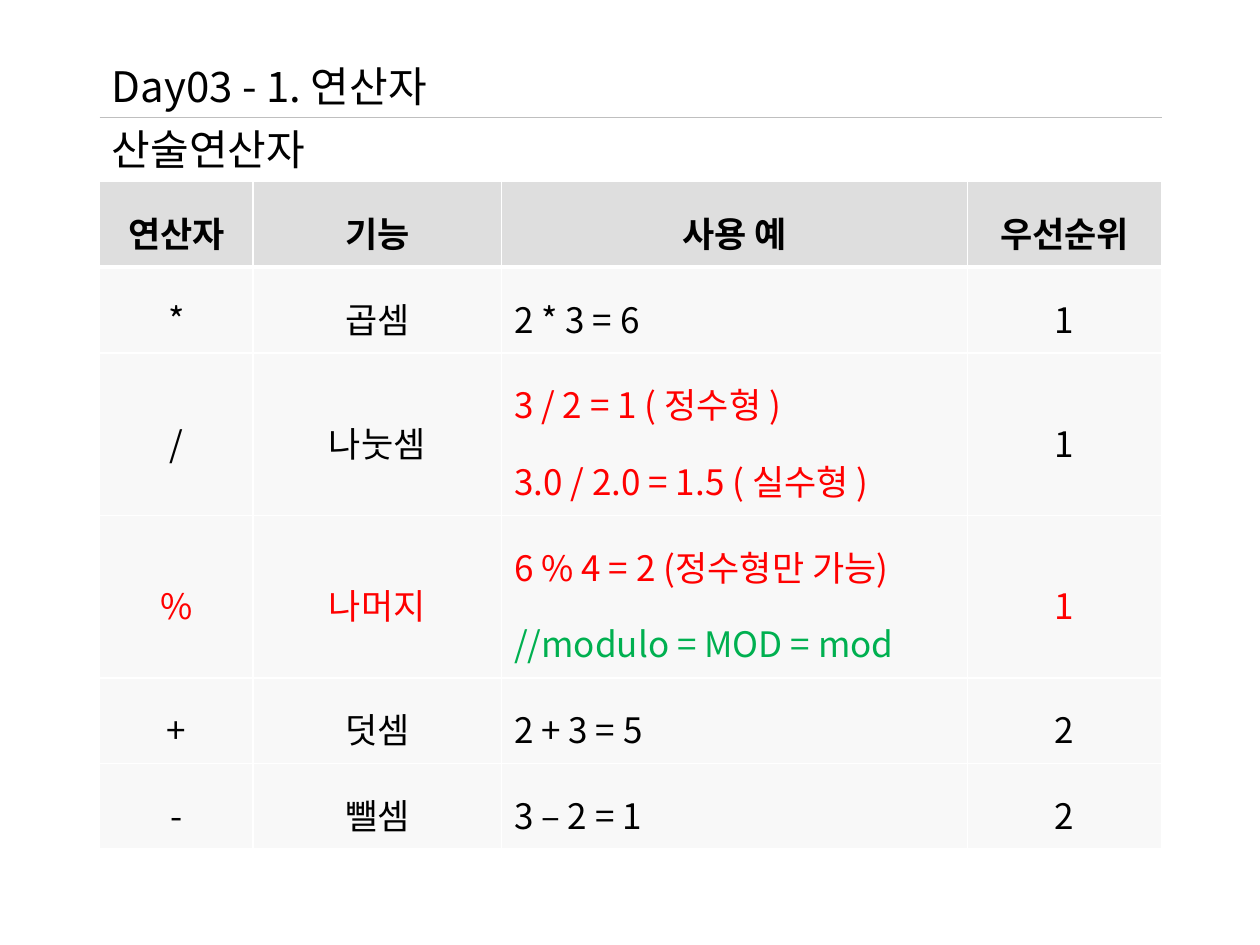
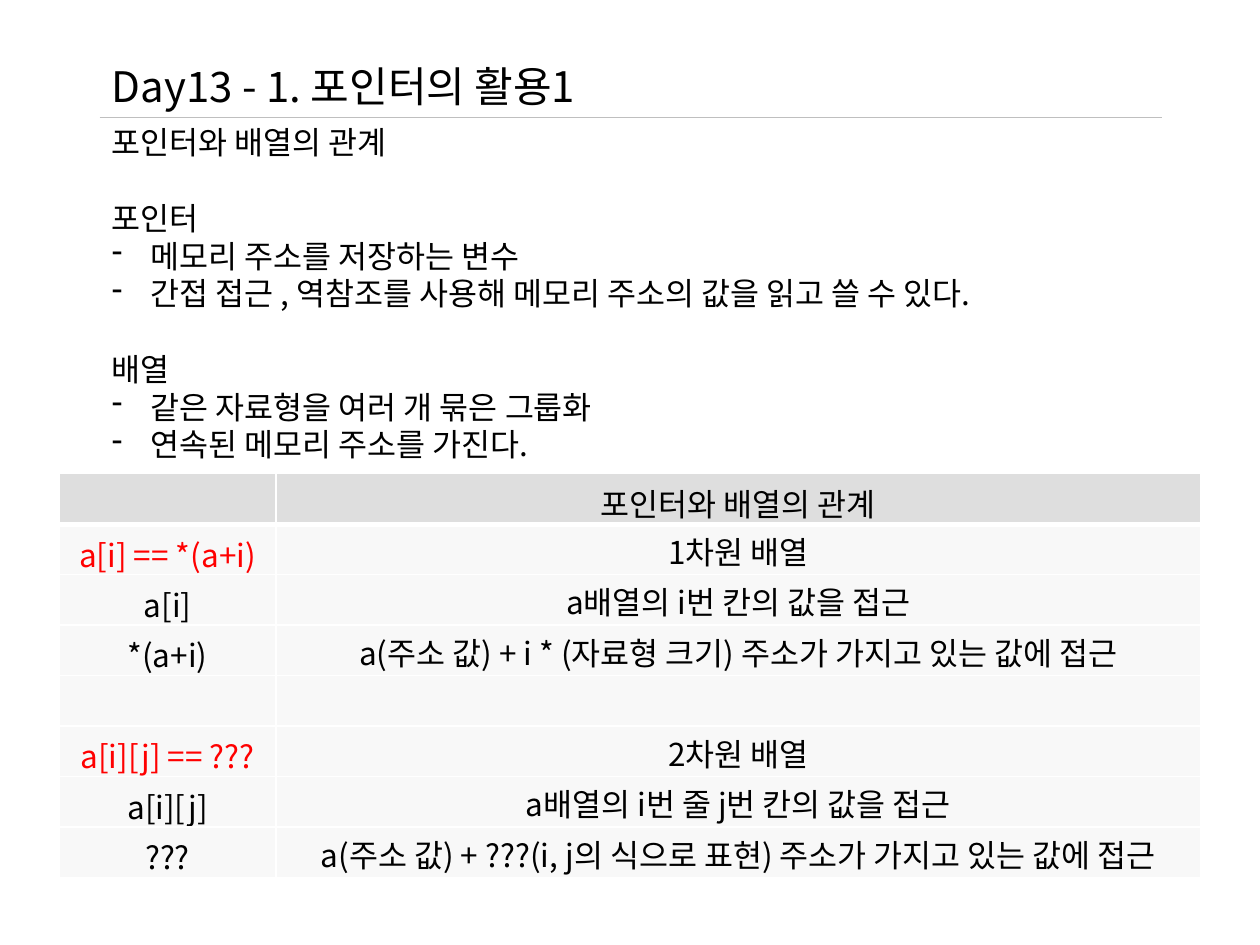
from dataclasses import dataclass

from lxml.etree import SubElement
from pptx import Presentation
from pptx.dml.color import RGBColor
from pptx.enum.shapes import MSO_CONNECTOR
from pptx.enum.text import MSO_ANCHOR, MSO_AUTO_SIZE, PP_ALIGN
from pptx.oxml.ns import qn
from pptx.util import Inches, Pt


@dataclass(frozen=True)
class Theme:
    font: str = "Noto Sans CJK KR"
    title: float = 24
    operator: float = 20
    body: float = 18
    section_gap: float = 21.5
    ink: str = "000000"
    red: str = "FF0000"
    green: str = "00B050"
    rule: str = "BFBFBF"
    header_fill: str = "BFBFBF"
    row_fill: str = "F2F2F2"
    fill_alpha: int = 50
    border: str = "FFFFFF"
    border_width: float = 1
    header_border_width: float = 3


@dataclass(frozen=True)
class Line:
    """One line of cell text with its own colour."""
    text: str
    color: str


@dataclass(frozen=True)
class CellStyle:
    size: float
    margins: tuple  # horizontal, top, bottom
    align: PP_ALIGN = PP_ALIGN.CENTER
    spacing: float = 1.0


THEME = Theme()
LEFT, WIDTH = 0.79, 8.43
TITLE_TOP, RULE_Y = 0.43, 0.93
BULLET_INDENT = 0.31


def red(text):
    return Line(text, THEME.red)


def green(text):
    return Line(text, THEME.green)


def write(paragraph, text, size, color=THEME.ink, bold=False):
    paragraph.text = text
    for run in paragraph.runs:
        run.font.size = Pt(size)
        run.font.bold = bold
        run.font.name = THEME.font
        run.font.color.rgb = RGBColor.from_string(color)
        SubElement(run.font._element, qn("a:ea"), typeface=THEME.font)


def add_paragraph(frame, index):
    return frame.paragraphs[0] if index == 0 else frame.add_paragraph()


def add_text_frame(slide, top, height):
    box = slide.shapes.add_textbox(Inches(LEFT), Inches(top),
                                   Inches(WIDTH), Inches(height))
    frame = box.text_frame
    frame.word_wrap = True
    frame.auto_size = MSO_AUTO_SIZE.SHAPE_TO_FIT_TEXT
    return frame


def add_heading(slide, text, top):
    write(add_text_frame(slide, top, 0.5).paragraphs[0], text, THEME.title)


def add_title(slide, text):
    """Place the slide title with the thin rule below it."""
    add_heading(slide, text, TITLE_TOP)
    rule = slide.shapes.add_connector(
        MSO_CONNECTOR.STRAIGHT, Inches(LEFT), Inches(RULE_Y),
        Inches(LEFT + WIDTH), Inches(RULE_Y))
    rule.line.color.rgb = RGBColor.from_string(THEME.rule)
    rule.line.width = Pt(0.75)
    SubElement(rule._element.spPr, qn("a:effectLst"))


def add_dash(paragraph):
    properties = paragraph._p.get_or_add_pPr()
    properties.set("marL", str(Inches(BULLET_INDENT)))
    properties.set("indent", str(-Inches(BULLET_INDENT)))
    SubElement(properties, qn("a:buFontTx"))
    SubElement(properties, qn("a:buChar"), char="-")


def add_sections(slide, sections):
    """Write headings with dashed points, one line apart."""
    frame = add_text_frame(slide, RULE_Y, 2.83)
    count = 0
    for heading, points in sections:
        paragraph = add_paragraph(frame, count)
        if count:
            paragraph.space_before = Pt(THEME.section_gap)
        write(paragraph, heading, THEME.body)
        for point in points:
            paragraph = frame.add_paragraph()
            add_dash(paragraph)
            write(paragraph, point, THEME.body)
        count += 1 + len(points)


def fill_cell(cell, color):
    cell.fill.solid()
    cell.fill.fore_color.rgb = RGBColor.from_string(color)
    tone = cell._tc.tcPr.find(f".//{qn('a:srgbClr')}")
    SubElement(tone, qn("a:alpha"), val=str(THEME.fill_alpha * 1000))


def border_cell(cell, top, bottom):
    properties = cell._tc.get_or_add_tcPr()
    side = THEME.border_width
    widths = {"lnL": side, "lnR": side, "lnT": top, "lnB": bottom}
    for position, (tag, width) in enumerate(widths.items()):
        edge = SubElement(properties, qn(f"a:{tag}"), w=str(Pt(width)))
        paint = SubElement(edge, qn("a:solidFill"))
        SubElement(paint, qn("a:srgbClr"), val=THEME.border)
        properties.insert(position, edge)


def write_cell(cell, content, style, bold):
    side, top, bottom = style.margins
    cell.margin_left = cell.margin_right = Inches(side)
    cell.margin_top, cell.margin_bottom = Inches(top), Inches(bottom)
    cell.vertical_anchor = MSO_ANCHOR.MIDDLE
    lines = content if isinstance(content, list) else [content]
    for index, line in enumerate(lines):
        if isinstance(line, str):
            line = Line(line, THEME.ink)
        paragraph = add_paragraph(cell.text_frame, index)
        paragraph.alignment = style.align
        paragraph.line_spacing = style.spacing
        write(paragraph, line.text, style.size, line.color, bold)


def add_grid(slide, left, top, widths, heights, rows, header_style,
             column_styles, bold_header=False):
    """Build a table whose first row is the header."""
    table = slide.shapes.add_table(
        len(rows), len(widths), Inches(left), Inches(top),
        Inches(sum(widths)), Inches(sum(heights))).table
    table.first_row = table.horz_banding = False
    for column, width in zip(table.columns, widths):
        column.width = Inches(width)
    for r, (contents, height) in enumerate(zip(rows, heights)):
        table.rows[r].height = Inches(height)
        is_header = r == 0
        above = THEME.header_border_width if r == 1 else THEME.border_width
        below = THEME.header_border_width if is_header else THEME.border_width
        for c, content in enumerate(contents):
            cell = table.cell(r, c)
            fill_cell(cell, THEME.header_fill if is_header else THEME.row_fill)
            border_cell(cell, above, below)
            if content:
                style = header_style if is_header else column_styles[c]
                write_cell(cell, content, style, is_header and bold_header)


def build_operators(slide):
    add_title(slide, "Day03 - 1. 연산자")
    add_heading(slide, "산술연산자", RULE_Y)
    margins = (0.1, 0, 0.08)
    centered = CellStyle(THEME.operator, margins, spacing=1.5)
    example = CellStyle(THEME.operator, margins, PP_ALIGN.LEFT, 1.5)
    rows = [
        ["연산자", "기능", "사용 예", "우선순위"],
        ["*", "곱셈", "2 * 3 = 6", "1"],
        ["/", "나눗셈", [red("3 / 2 = 1 ( 정수형 )"),
                      red("3.0 / 2.0 = 1.5 ( 실수형 )")], "1"],
        [red("%"), red("나머지"), [red("6 % 4 = 2 (정수형만 가능)"),
                                green("//modulo = MOD = mod")], red("1")],
        ["+", "덧셈", "2 + 3 = 5", "2"],
        ["-", "뺄셈", "3 – 2 = 1", "2"],
    ]
    heights = [1.29 if isinstance(row[2], list) else 0.68 for row in rows]
    add_grid(slide, LEFT, 1.44, [1.22, 1.97, 3.7, 1.54], heights, rows,
             centered, [centered, centered, example, centered],
             bold_header=True)


def build_pointers(slide):
    add_title(slide, "Day13 - 1. 포인터의 활용1")
    add_sections(slide, [
        ("포인터와 배열의 관계", []),
        ("포인터", ["메모리 주소를 저장하는 변수",
                 "간접 접근 , 역참조를 사용해 메모리 주소의 값을 읽고 쓸 수 있다."]),
        ("배열", ["같은 자료형을 여러 개 묶은 그룹화",
                "연속된 메모리 주소를 가진다."]),
    ])
    expression = CellStyle(THEME.body, (0.1, 0.05, 0.05))
    meaning = CellStyle(THEME.body, (0.06, 0.03, 0.03))
    rows = [
        ["", "포인터와 배열의 관계"],
        [red("a[i] == *(a+i)"), "1차원 배열"],
        ["a[i]", "a배열의 i번 칸의 값을 접근"],
        ["*(a+i)", "a(주소 값) + i * (자료형 크기) 주소가 가지고 있는 값에 접근"],
        ["", ""],
        [red("a[i][j] == ???"), "2차원 배열"],
        ["a[i][j]", "a배열의 i번 줄 j번 칸의 값을 접근"],
        ["???", "a(주소 값) + ???(i, j의 식으로 표현) 주소가 가지고 있는 값에 접근"],
    ]
    add_grid(slide, 0.47, 3.76, [1.72, 7.34], [0.39] * len(rows), rows,
             expression, [expression, meaning])


def main():
    deck = Presentation()
    deck.slide_width, deck.slide_height = Inches(10), Inches(7.5)
    blank = deck.slide_layouts[6]
    for build in (build_operators, build_pointers):
        build(deck.slides.add_slide(blank))
    deck.save("out.pptx")


if __name__ == "__main__":
    main()
